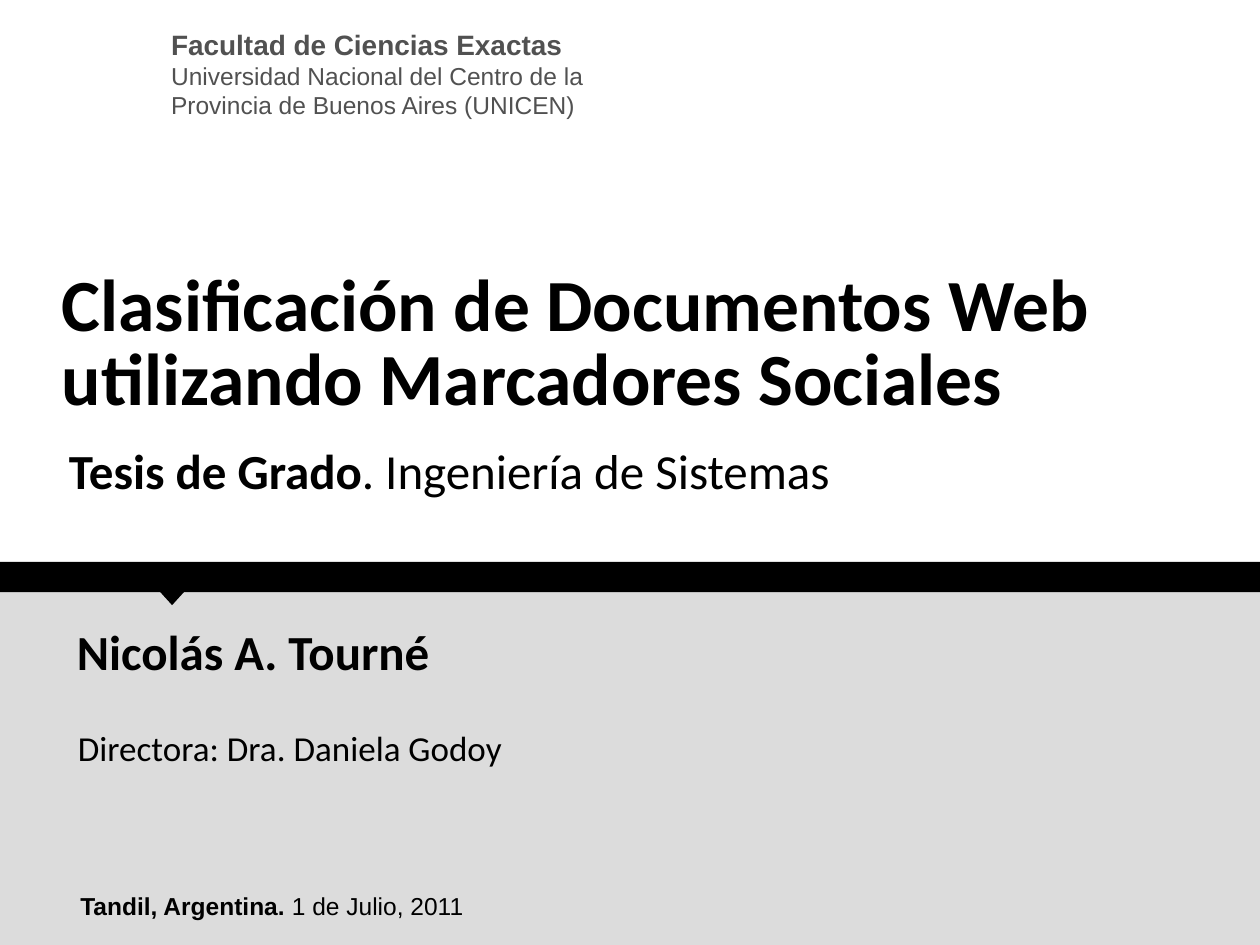
from pptx import Presentation
from pptx.dml.color import RGBColor
from pptx.enum.shapes import MSO_SHAPE
from pptx.enum.text import MSO_ANCHOR, PP_ALIGN
from pptx.util import Cm, Pt

COLORS = {"black": "000000", "gray": "515151", "panel": "DCDCDC"}


def place(sp, left, top, width, height):
    sp.left, sp.top, sp.width, sp.height = map(Cm, (left, top, width, height))


def add_block(s, kind, box, color):
    sp = s.shapes.add_shape(kind, *map(Cm, box))
    sp.shadow.inherit = False
    sp.fill.solid()
    sp.fill.fore_color.rgb = RGBColor.from_string(COLORS[color])
    sp.line.fill.background()


def write(sp, lines, font="Calibri", size=28, color="black",
          anchor=MSO_ANCHOR.TOP, spacing=None):
    """Each line is a list of (text, bold) or (text, bold, size) runs."""
    tf = sp.text_frame
    tf.word_wrap = True
    tf.vertical_anchor = anchor
    p = tf.paragraphs[0]
    p.alignment = PP_ALIGN.LEFT
    p.space_before = Pt(0)
    if spacing:
        p.line_spacing = spacing
    for i, line in enumerate(lines):
        if i:
            p.add_line_break()
        for text, bold, *own_size in line:
            r = p.add_run()
            r.text = text
            r.font.name = font
            r.font.size = Pt(own_size[0] if own_size else size)
            r.font.bold = bold
            r.font.color.rgb = RGBColor.from_string(COLORS[color])


def add_text(s, box, lines, **fmt):
    write(s.shapes.add_textbox(*map(Cm, box)), lines, **fmt)


def main():
    prs = Presentation()
    prs.slide_width, prs.slide_height = Cm(25.4), Cm(19.05)
    s = prs.slides.add_slide(prs.slide_layouts[5])

    # Lower panel
    add_block(s, MSO_SHAPE.RECTANGLE, (0, 11.61, 25.4, 7.44), "panel")

    # Institution
    add_text(s, (3.2, 0.43, 10.13, 2.13),
             [[("Facultad de Ciencias Exactas", True, 16)],
              [("Universidad Nacional del Centro de la Provincia de "
                "Buenos Aires (UNICEN)", False)]],
             font="Arial", size=14, color="gray")

    # Author, director, place and date
    add_text(s, (1.3, 12.4, 12.22, 1.45), [[("Nicolás A. Tourné", True)]])
    add_text(s, (1.32, 14.53, 11.07, 1.12),
             [[("Directora: Dra. Daniela Godoy", False)]], size=20)
    add_text(s, (1.37, 17.83, 12.5, 0.86),
             [[("Tandil, Argentina. ", True), ("1 de Julio, 2011", False)]],
             font="Arial", size=14)

    # Title and subtitle
    title = s.shapes.title
    place(title, 0.99, 4.93, 22.71, 4.09)
    write(title,
          [[("Clasificación de Documentos Web utilizando Marcadores Sociales",
             True)]],
          size=42, anchor=MSO_ANCHOR.MIDDLE, spacing=0.85)
    add_text(s, (1.14, 8.79, 22.2, 1.37),
             [[("Tesis de Grado", True), (". Ingeniería de Sistemas", False)]],
             anchor=MSO_ANCHOR.MIDDLE)

    # Dividing band with its pointer
    add_block(s, MSO_SHAPE.DIAMOND, (3.18, 11.56, 0.58, 0.64), "black")
    add_block(s, MSO_SHAPE.RECTANGLE, (0, 11.33, 25.4, 0.61), "black")

    prs.save("out.pptx")


if __name__ == "__main__":
    main()
